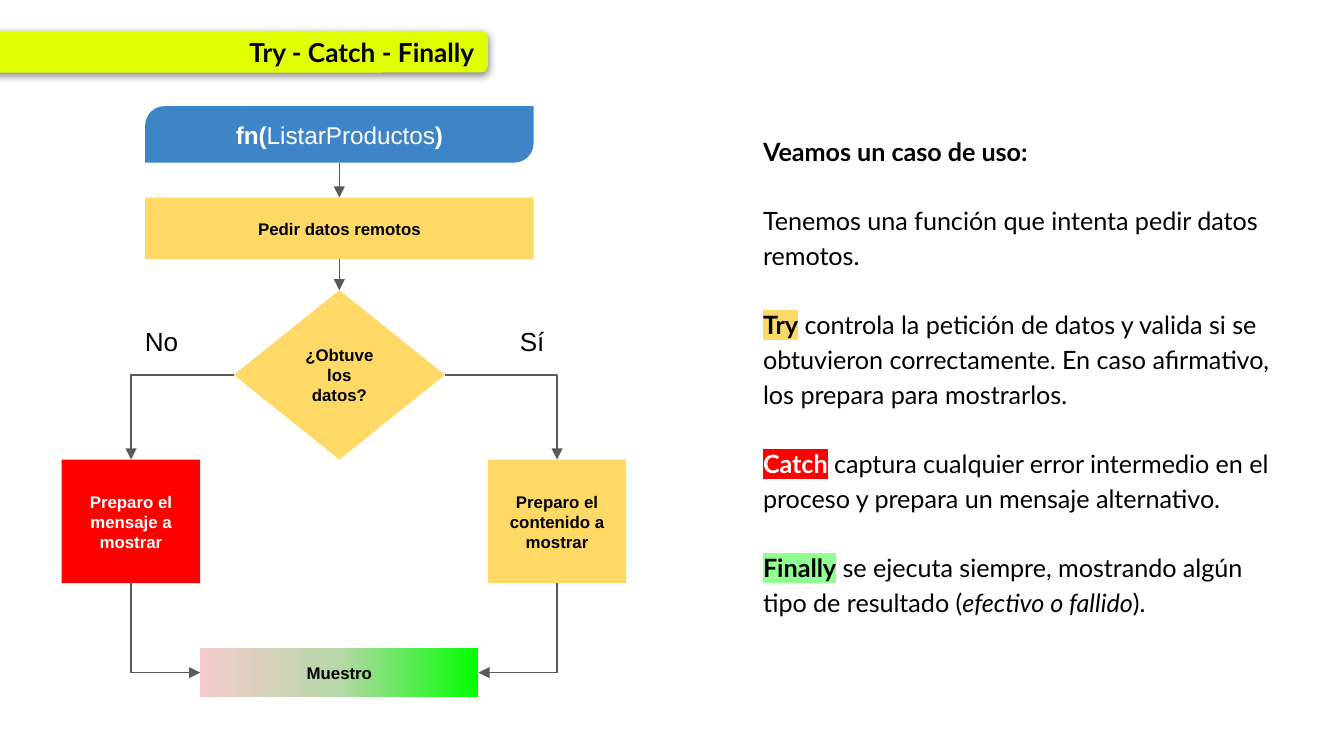
from copy import deepcopy
from dataclasses import dataclass

from pptx import Presentation
from pptx.dml.color import RGBColor
from pptx.enum.shapes import MSO_CONNECTOR, MSO_SHAPE
from pptx.enum.text import MSO_ANCHOR, MSO_AUTO_SIZE, PP_ALIGN
from pptx.oxml import parse_xml
from pptx.oxml.ns import nsdecls, qn
from pptx.util import Inches, Pt

RECTANGLE, DIAMOND = MSO_SHAPE.RECTANGLE, MSO_SHAPE.DIAMOND
ROUNDED, DIAGONAL = MSO_SHAPE.ROUNDED_RECTANGLE, MSO_SHAPE.ROUND_2_DIAG_RECTANGLE
STRAIGHT, ELBOW = MSO_CONNECTOR.STRAIGHT, MSO_CONNECTOR.ELBOW
LEFT, CENTER, RIGHT = PP_ALIGN.LEFT, PP_ALIGN.CENTER, PP_ALIGN.RIGHT
TOP, MIDDLE = MSO_ANCHOR.TOP, MSO_ANCHOR.MIDDLE
FIXED, GROW = MSO_AUTO_SIZE.NONE, MSO_AUTO_SIZE.SHAPE_TO_FIT_TEXT
SIDE_TOP, SIDE_LEFT, SIDE_BOTTOM, SIDE_RIGHT = range(4)

SLIDE_WIDTH = Inches(10)
SLIDE_HEIGHT = SLIDE_WIDTH * 9 // 16
BLACK = RGBColor(0x00, 0x00, 0x00)
WHITE = RGBColor(0xFF, 0xFF, 0xFF)
LIME = RGBColor(0xE0, 0xFF, 0x00)
BLUE = RGBColor(0x3D, 0x85, 0xC6)
YELLOW = RGBColor(0xFF, 0xD9, 0x66)
RED = RGBColor(0xFF, 0x00, 0x00)
MINT = RGBColor(0x91, 0xFF, 0x91)
GRAY = RGBColor(0x59, 0x59, 0x59)
RESULT_GRADIENT = [
    (0, RGBColor(0xF4, 0xCC, 0xCC)),
    (0.5, RGBColor(0xB6, 0xD7, 0xA8)),
    (1, RGBColor(0x00, 0xFF, 0x00)),
]
BODY_SIZE = 13.5
BODY_GAP = Pt(18.6)


@dataclass
class Span:
    text: str
    bold: bool = False
    italic: bool = False
    color: RGBColor = BLACK
    highlight: RGBColor | None = None


@dataclass
class Step:
    """A box of the flowchart."""
    box: tuple[float, float, float, float]
    spans: list[Span]
    fill: RGBColor = YELLOW
    kind: int = RECTANGLE
    size: float = 9
    adjustments: tuple[float, ...] = ()


@dataclass
class Link:
    """A connector between two steps; reverse puts the arrowhead at its start."""
    begin: str
    begin_side: int
    end: str
    end_side: int
    kind: int = STRAIGHT
    reverse: bool = False


def set_values(target, values: dict) -> None:
    for name, value in values.items():
        setattr(target, name, value)


def write_paragraph(paragraph, spans: list[Span], size: float, font: str, alignment) -> None:
    paragraph.alignment = alignment
    for span in spans:
        run = paragraph.add_run()
        run.text = span.text
        set_values(run.font, {"name": font, "size": Pt(size),
                              "bold": span.bold, "italic": span.italic})
        run.font.color.rgb = span.color
        if span.highlight is not None:
            # The highlight must follow the text fill
            run._r.rPr.find(qn("a:solidFill")).addnext(parse_xml(
                f'<a:highlight {nsdecls("a")}><a:srgbClr val="{span.highlight}"/></a:highlight>'))


def format_frame(frame, anchor, auto_size=FIXED) -> None:
    margins = dict.fromkeys(
        ("margin_left", "margin_top", "margin_right", "margin_bottom"), Inches(0.1))
    set_values(frame, {"word_wrap": True, "vertical_anchor": anchor,
                       "auto_size": auto_size, **margins})


def add_box(slide, kind, box, fill: RGBColor, adjustments=()):
    shape = slide.shapes.add_shape(kind, *map(Inches, box))
    shape.shadow.inherit = False
    shape.fill.solid()
    shape.fill.fore_color.rgb = fill
    shape.line.fill.background()
    for index, value in enumerate(adjustments):
        shape.adjustments[index] = value
    return shape


def add_step(slide, step: Step):
    shape = add_box(slide, step.kind, step.box, step.fill, step.adjustments)
    format_frame(shape.text_frame, MIDDLE)
    write_paragraph(shape.text_frame.paragraphs[0], step.spans, step.size, "Arial", CENTER)
    return shape


def add_text(slide, box, paragraphs: list[list[Span]], size: float, font: str,
             alignment=LEFT, spacing: float = 1.0) -> None:
    frame = slide.shapes.add_textbox(*map(Inches, box)).text_frame
    format_frame(frame, TOP, GROW)
    for index, spans in enumerate(paragraphs):
        paragraph = frame.add_paragraph() if index else frame.paragraphs[0]
        paragraph.line_spacing = spacing
        if index:
            paragraph.space_before = BODY_GAP
        write_paragraph(paragraph, spans, size, font, alignment)


def side_point(shape, side: int) -> tuple[int, int]:
    across, down = [(0.5, 0), (0, 0.5), (0.5, 1), (1, 0.5)][side]
    return (int(shape.left + shape.width * across), int(shape.top + shape.height * down))


def add_link(slide, link: Link, shapes: dict) -> None:
    begin, end = shapes[link.begin], shapes[link.end]
    connector = slide.shapes.add_connector(
        link.kind, *side_point(begin, link.begin_side), *side_point(end, link.end_side))
    # The diagonal-corner box numbers its connection sites differently
    if begin.auto_shape_type != DIAGONAL:
        connector.begin_connect(begin, link.begin_side)
    connector.end_connect(end, link.end_side)
    connector.line.color.rgb = GRAY
    connector.line.width = Pt(0.75)
    properties = connector._element.spPr
    if link.kind == ELBOW:
        properties.find(qn("a:prstGeom")).set("prst", "bentConnector2")
    arrow = "headEnd" if link.reverse else "tailEnd"
    properties.find(qn("a:ln")).append(
        parse_xml(f'<a:{arrow} {nsdecls("a")} type="triangle"/>'))
    properties.append(parse_xml(f'<a:effectLst {nsdecls("a")}/>'))


def add_title(slide, text: str) -> None:
    box = (-0.23, 0.23, 3.86, 0.31)
    banner = add_box(slide, ROUNDED, box, LIME, (0.167,))
    banner._element.spPr.find(qn("a:effectLst")).append(parse_xml(
        f'<a:outerShdw {nsdecls("a")} blurRad="{Pt(4.5)}" dist="{Pt(1.5)}" dir="5400000"'
        ' algn="bl" rotWithShape="0"><a:srgbClr val="000000"><a:alpha val="50000"/>'
        '</a:srgbClr></a:outerShdw>'))
    title = slide.shapes.title
    set_values(title, dict(zip(("left", "top", "width", "height"), map(Inches, box))))
    format_frame(title.text_frame, MIDDLE)
    write_paragraph(title.text_frame.paragraphs[0], [Span(text, bold=True)], 14, "Lato", RIGHT)
    banner._element.addnext(title._element)  # title in front of its banner


def apply_gradient(shape, stops) -> None:
    shape.fill.gradient()
    shape.fill.gradient_angle = 0
    stop_list = shape._element.spPr.find(".//" + qn("a:gsLst"))
    stop_list.insert(1, deepcopy(stop_list[0]))
    for stop, (position, color) in zip(shape.fill.gradient_stops, stops):
        stop.position = position
        stop.color.rgb = color


STEPS = {
    "function": Step((1.08, 0.79, 2.89, 0.42),
                     [Span("fn(", True, color=WHITE), Span("ListarProductos", color=WHITE),
                      Span(")", True, color=WHITE)], BLUE, DIAGONAL, 13, (0.342, 0)),
    "request": Step((1.08, 1.47, 2.89, 0.46), [Span("Pedir datos remotos", True)]),
    "decision": Step((1.74, 2.16, 1.57, 1.26), [Span("¿Obtuve los datos?", True)], kind=DIAMOND),
    "content": Step((3.63, 3.42, 1.03, 0.92), [Span("Preparo el contenido a mostrar", True)]),
    "message": Step((0.46, 3.42, 1.03, 0.92),
                    [Span("Preparo el mensaje a mostrar", True, color=WHITE)], RED),
    "result": Step((1.49, 4.82, 2.07, 0.37), [Span("Muestro", True)]),
}
LINKS = [
    Link("function", SIDE_BOTTOM, "request", SIDE_TOP),
    Link("request", SIDE_BOTTOM, "decision", SIDE_TOP),
    Link("decision", SIDE_RIGHT, "content", SIDE_TOP, ELBOW),
    Link("decision", SIDE_LEFT, "message", SIDE_TOP, ELBOW),
    Link("result", SIDE_LEFT, "message", SIDE_BOTTOM, ELBOW, reverse=True),
    Link("result", SIDE_RIGHT, "content", SIDE_BOTTOM, ELBOW, reverse=True),
]
EXPLANATION = [
    [Span("Veamos un caso de uso:", True)],
    [Span("Tenemos una función que intenta pedir datos remotos.")],
    [Span("Try", True, highlight=YELLOW),
     Span(" controla la petición de datos y valida si se obtuvieron correctamente. "
          "En caso afirmativo, los prepara para mostrarlos.")],
    [Span("Catch", True, color=WHITE, highlight=RED),
     Span(" captura cualquier error intermedio en el proceso y prepara un mensaje alternativo.")],
    [Span("Finally", True, highlight=MINT),
     Span(" se ejecuta siempre, mostrando algún tipo de resultado ("),
     Span("efectivo o fallido", italic=True), Span(").")],
]


def main() -> None:
    presentation = Presentation()
    presentation.slide_width, presentation.slide_height = SLIDE_WIDTH, SLIDE_HEIGHT
    slide = presentation.slides.add_slide(presentation.slide_layouts[5])
    add_title(slide, "Try - Catch - Finally")
    add_text(slide, (5.58, 0.88, 4.07, 3.83), EXPLANATION, BODY_SIZE, "Lato", spacing=1.15)
    # Flowchart
    shapes = {name: add_step(slide, step) for name, step in STEPS.items()}
    apply_gradient(shapes["result"], RESULT_GRADIENT)
    for link in LINKS:
        add_link(slide, link, shapes)
    # Branch labels
    for text, left, alignment in (("Sí", 3.49, RIGHT), ("No", 0.98, LEFT)):
        add_text(slide, (left, 2.32, 0.66, 0.44), [[Span(text)]], 14, "Arial", alignment)
    presentation.save("out.pptx")


if __name__ == "__main__":
    main()
